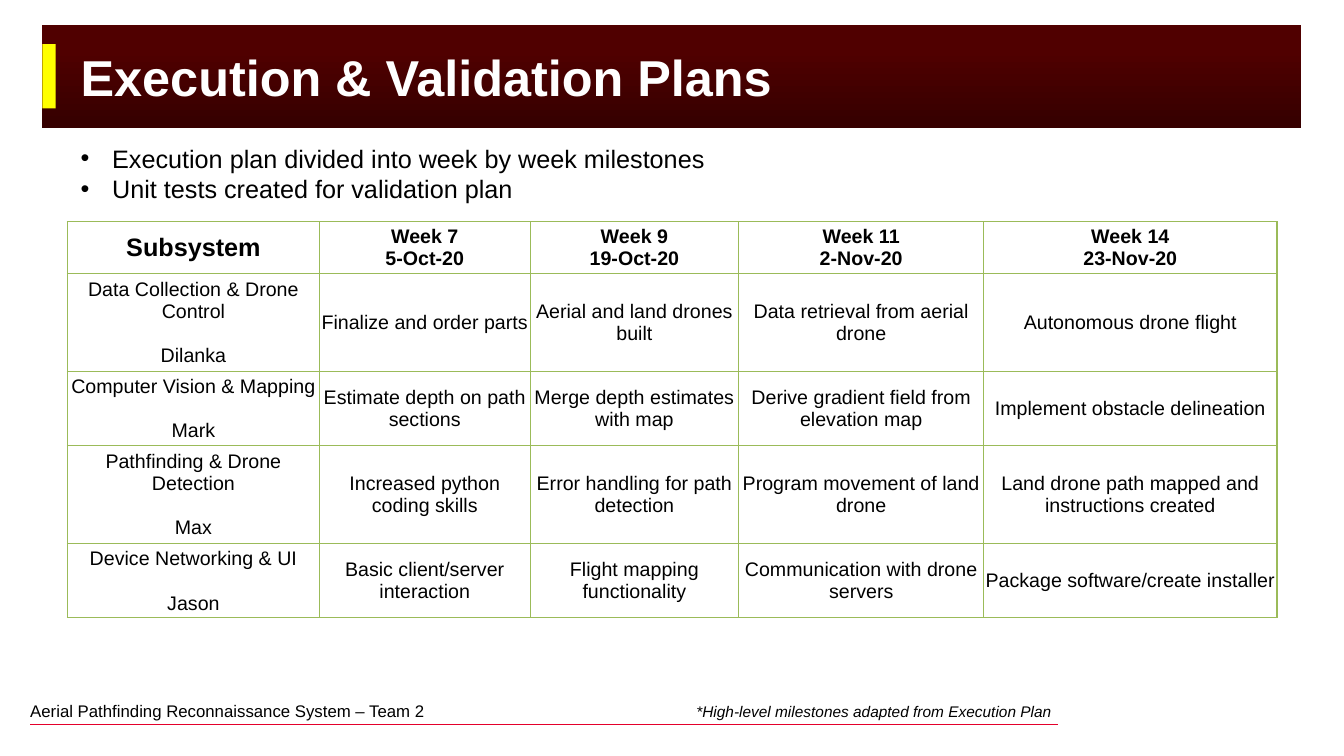
from dataclasses import dataclass

from lxml import etree
from pptx import Presentation
from pptx.dml.color import RGBColor
from pptx.enum.shapes import MSO_CONNECTOR, MSO_SHAPE
from pptx.enum.text import MSO_ANCHOR, MSO_AUTO_SIZE, PP_ALIGN
from pptx.oxml import parse_xml
from pptx.oxml.ns import nsdecls, qn
from pptx.util import Pt

RECT, STRAIGHT = MSO_SHAPE.RECTANGLE, MSO_CONNECTOR.STRAIGHT
TOP, MIDDLE, BOTTOM = MSO_ANCHOR.TOP, MSO_ANCHOR.MIDDLE, MSO_ANCHOR.BOTTOM
LEFT, CENTER = PP_ALIGN.LEFT, PP_ALIGN.CENTER


@dataclass(frozen=True)
class Theme:
    font: str = "Arial"
    text: str = "000000"
    title_text: str = "FFFFFF"
    band_dark: str = "370000"
    band_light: str = "500000"
    accent: str = "FFFF00"
    footer_line: str = "E4002B"
    border: str = "9BBB59"
    title_size: int = 36
    body_size: int = 18
    cell_size: int = 14
    footer_size: int = 12
    note_size: int = 11


T = Theme()


def write(p, text, size, color=T.text, align=LEFT, **styles):
    p.text = text
    p.alignment = align
    p.space_before = Pt(0)
    for r in p.runs:
        r.font.color.rgb = RGBColor.from_string(color)
        for name, value in {"name": T.font, "size": Pt(size), **styles}.items():
            setattr(r.font, name, value)
    for br in p._p.findall(qn("a:br")):
        br.insert(0, parse_xml(f'<a:rPr {nsdecls("a")} sz="{size * 100}"/>'))


def place(sp, left, top, width, height):
    sp.left, sp.top, sp.width, sp.height = Pt(left), Pt(top), Pt(width), Pt(height)


prs = Presentation()
prs.slide_width, prs.slide_height = Pt(960), Pt(540)
s = prs.slides.add_slide(prs.slide_layouts[1])
title, body = s.placeholders

# Title band
band = s.shapes.add_shape(RECT, Pt(30.2), Pt(18.2), Pt(899.5), Pt(73))
band.fill.gradient()
band.fill.gradient_angle = 90
stops = ((0.05, T.band_dark), (0.76, T.band_light))
for stop, (position, color) in zip(band.fill.gradient_stops, stops):
    stop.position = position
    stop.color.rgb = RGBColor.from_string(color)
marker = s.shapes.add_shape(RECT, Pt(30.2), Pt(31.5), Pt(9.6), Pt(46))
marker.fill.solid()
marker.fill.fore_color.rgb = RGBColor.from_string(T.accent)
for sp in (band, marker):
    sp.line.fill.background()
    sp.shadow.inherit = False

# Title in front of the band
title.element.getparent().append(title.element)
place(title, 50.4, 18.2, 605.5, 73)
title.text_frame.vertical_anchor = MIDDLE
title.text_frame.auto_size = MSO_AUTO_SIZE.NONE
write(title.text_frame.paragraphs[0], "Execution & Validation Plans",
      T.title_size, T.title_text, bold=True)

# Bullets
place(body, 50.4, 98.6, 810, 51)
tf = body.text_frame
tf.vertical_anchor = TOP
tf.auto_size = MSO_AUTO_SIZE.NONE
bullets = ("Execution plan divided into week by week milestones",
           "Unit tests created for validation plan")
for i, text in enumerate(bullets):
    p = tf.add_paragraph() if i else tf.paragraphs[0]
    write(p, text, T.body_size)
    pPr = p._p.get_or_add_pPr()
    pPr.set("marL", str(Pt(22.5)))
    pPr.set("indent", str(-Pt(22.5)))
    etree.SubElement(pPr, qn("a:buChar"), char="•")

# Milestone table: one entry per subsystem is (area, owner)
header = ("Subsystem", "Week 7\n5-Oct-20", "Week 9\n19-Oct-20",
          "Week 11\n2-Nov-20", "Week 14\n23-Nov-20")
milestones = (
    (("Data Collection & Drone Control", "Dilanka"), "Finalize and order parts",
     "Aerial and land drones built", "Data retrieval from aerial drone",
     "Autonomous drone flight"),
    (("Computer Vision & Mapping", "Mark"), "Estimate depth on path sections",
     "Merge depth estimates with map", "Derive gradient field from elevation map",
     "Implement obstacle delineation"),
    (("Pathfinding & Drone Detection", "Max"), "Increased python coding skills",
     "Error handling for path detection", "Program movement of land drone",
     "Land drone path mapped and instructions created"),
    (("Device Networking & UI", "Jason"), "Basic client/server interaction",
     "Flight mapping functionality", "Communication with drone servers",
     "Package software/create installer"),
)
widths = (180, 150.5, 149, 175, 209.5)
heights = (37, 69.7, 53.3, 69.7, 53.3)
table = s.shapes.add_table(len(heights), len(widths), Pt(48.2), Pt(158.4),
                           Pt(sum(widths)), Pt(sum(heights))).table
table.first_row = table.horz_banding = False
for column, width in zip(table.columns, widths):
    column.width = Pt(width)
for row, height in zip(table.rows, heights):
    row.height = Pt(height)

cell_format = {"vertical_anchor": MIDDLE, "margin_left": Pt(0.7), "margin_right": Pt(0.7),
               "margin_top": Pt(0.7), "margin_bottom": Pt(0)}
for i, texts in enumerate((header, *milestones)):
    for j, content in enumerate(texts):
        cell = table.cell(i, j)
        for name, value in cell_format.items():
            setattr(cell, name, value)
        for side in ("lnL", "lnR", "lnT", "lnB"):
            cell._tc.get_or_add_tcPr().append(parse_xml(
                f'<a:{side} {nsdecls("a")} w="{Pt(1)}"><a:solidFill>'
                f'<a:srgbClr val="{T.border}"/></a:solidFill></a:{side}>'))
        cell.fill.background()
        size = T.body_size if i == j == 0 else T.cell_size
        parts = content if isinstance(content, tuple) else (content,)
        for k, text in enumerate(parts):
            p = cell.text_frame.add_paragraph() if k else cell.text_frame.paragraphs[0]
            write(p, text, size, align=CENTER, bold=i == 0)
            if k:
                p.space_before = Pt(16)

# Footer
rule = s.shapes.add_connector(STRAIGHT, Pt(21.6), Pt(517.7), Pt(756), Pt(517.7))
rule.line.color.rgb = RGBColor.from_string(T.footer_line)
rule.line.width = Pt(1)
etree.SubElement(rule._element.spPr, qn("a:effectLst"))

footer = s.shapes.add_textbox(Pt(21.6), Pt(500.4), Pt(734.4), Pt(14.4))
tf = footer.text_frame
tf.word_wrap = True
tf.vertical_anchor = BOTTOM
tf.margin_left = tf.margin_top = tf.margin_right = tf.margin_bottom = Pt(0)
write(tf.paragraphs[0], "Aerial Pathfinding Reconnaissance System – Team 2", T.footer_size)

note = s.shapes.add_textbox(Pt(490.3), Pt(498.2), Pt(283.7), Pt(20.9))
note.text_frame.word_wrap = True
write(note.text_frame.paragraphs[0], "*High-level milestones adapted from Execution Plan",
      T.note_size, italic=True)

prs.save("out.pptx")
